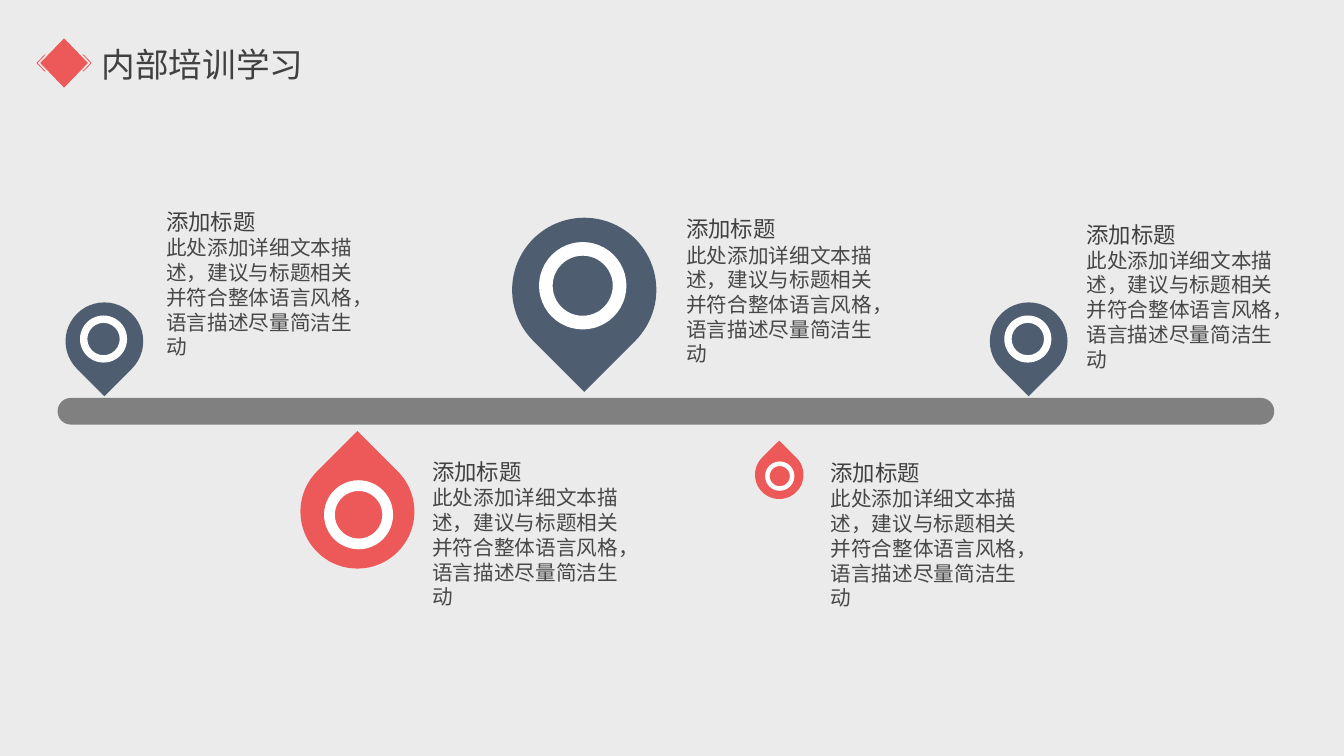
from lxml import etree
from pptx import Presentation
from pptx.dml.color import RGBColor
from pptx.enum.shapes import MSO_SHAPE
from pptx.oxml.ns import qn
from pptx.util import Pt

TEAR, DONUT, BAR = MSO_SHAPE.TEAR, MSO_SHAPE.DONUT, MSO_SHAPE.ROUNDED_RECTANGLE
FONT = "Noto Sans CJK SC"
RED, BLUE, GREY, WHITE = "ED5858", "4F5D70", "808080", "FFFFFF"
DARK, SOFT, BACK = "404040", "474747", "EBEBEB"

HEAD = "添加标题"
BODY = "此处添加详细文本描述，建议与标题相关并符合整体语言风格，语言描述尽量简洁生动"

# Pin left, top, size; text left, top; hangs below the bar
STOPS = [
    (46.8, 216, 55.5, 111.6, 145.4, False),
    (365.8, 155.5, 103, 483.1, 150.5, False),
    (214.6, 324.7, 81.4, 301.7, 324, True),
    (539.3, 321.8, 34.6, 586.1, 324.7, True),
    (707, 216, 55.5, 769, 154.1, False),
]


def paint(fill, color):
    fill.solid()
    fill.fore_color.rgb = RGBColor.from_string(color)


def finish(shape, color):
    shape.shadow.inherit = False
    paint(shape.fill, color)
    shape.line.fill.background()


def add_form(shapes, kind, box, color, turn=0, adjust=None):
    shape = shapes.add_shape(kind, *map(Pt, box))
    finish(shape, color)
    shape.rotation = turn
    if adjust is not None:
        shape.adjustments[0] = adjust


def add_text(slide, box, lines, wrap=True):
    frame = slide.shapes.add_textbox(*map(Pt, box)).text_frame
    frame.word_wrap = wrap
    for index, (text, size, color) in enumerate(lines):
        para = frame.add_paragraph() if index else frame.paragraphs[0]
        para.text = text
        font = para.font
        font.name, font.size = FONT, Pt(size)
        font.color.rgb = RGBColor.from_string(color)
        # East Asian typeface
        latin = para._p.find(".//" + qn("a:latin"))
        latin.addnext(etree.Element(qn("a:ea"), typeface=FONT))


def add_pin(slide, left, top, size, below):
    shapes = slide.shapes.add_group_shape().shapes
    sign = 1 if below else -1
    color, turn = (RED, 315) if below else (BLUE, 135)
    add_form(shapes, TEAR, (left, top, size, size), color, turn)
    # Ring, slightly off the centre of the pin
    ring = size * 0.606
    gap = (size - ring) / 2
    box = (left + gap + sign * size * 0.01,
           top + gap + sign * size * 0.028, ring, ring)
    add_form(shapes, DONUT, box, WHITE, 180 if below else 0, 0.156)


def add_mark(slide):
    # Diamond between two chevrons, in offsets from its centre
    mid, level = 45.8, 45
    arrow = [(13.2, -6), (14, -6), (19.7, 0), (14, 6), (13.2, 6), (18.9, 0)]
    rings = [
        [(0, -17.6), (17, 0), (0, 17.6), (-17, 0)],
        arrow,
        [(-x, y) for x, y in arrow],
    ]
    # Units of a hundredth of a point
    rings = [[(round((mid + x) * 100), round((level + y) * 100))
              for x, y in ring] for ring in rings]
    form = slide.shapes.build_freeform(*rings[0][0], scale=Pt(1) / 100)
    for index, ring in enumerate(rings):
        if index:
            form.move_to(*ring[0])
        form.add_line_segments(ring[1:], close=True)
    finish(form.convert_to_shape(), RED)


def main():
    deck = Presentation()
    deck.slide_width, deck.slide_height = Pt(960), Pt(540)
    slide = deck.slides.add_slide(deck.slide_layouts[6])
    paint(slide.background.fill, BACK)

    # Title
    add_mark(slide)
    add_text(slide, (65.5, 28.1, 159.8, 36), [(HEADING, 24, DARK)], False)

    # Timeline
    add_form(slide.shapes, BAR, (41.2, 284.3, 869, 19), GREY, adjust=0.494)
    for left, top, size, text_x, text_y, below in STOPS:
        add_pin(slide, left, top, size, below)
        add_text(slide, (text_x, text_y, 149.8, 115.2),
                 [(HEAD, 16, DARK), (BODY, 14.7, SOFT)])

    deck.save("out.pptx")


HEADING = "内部培训学习"

if __name__ == "__main__":
    main()
